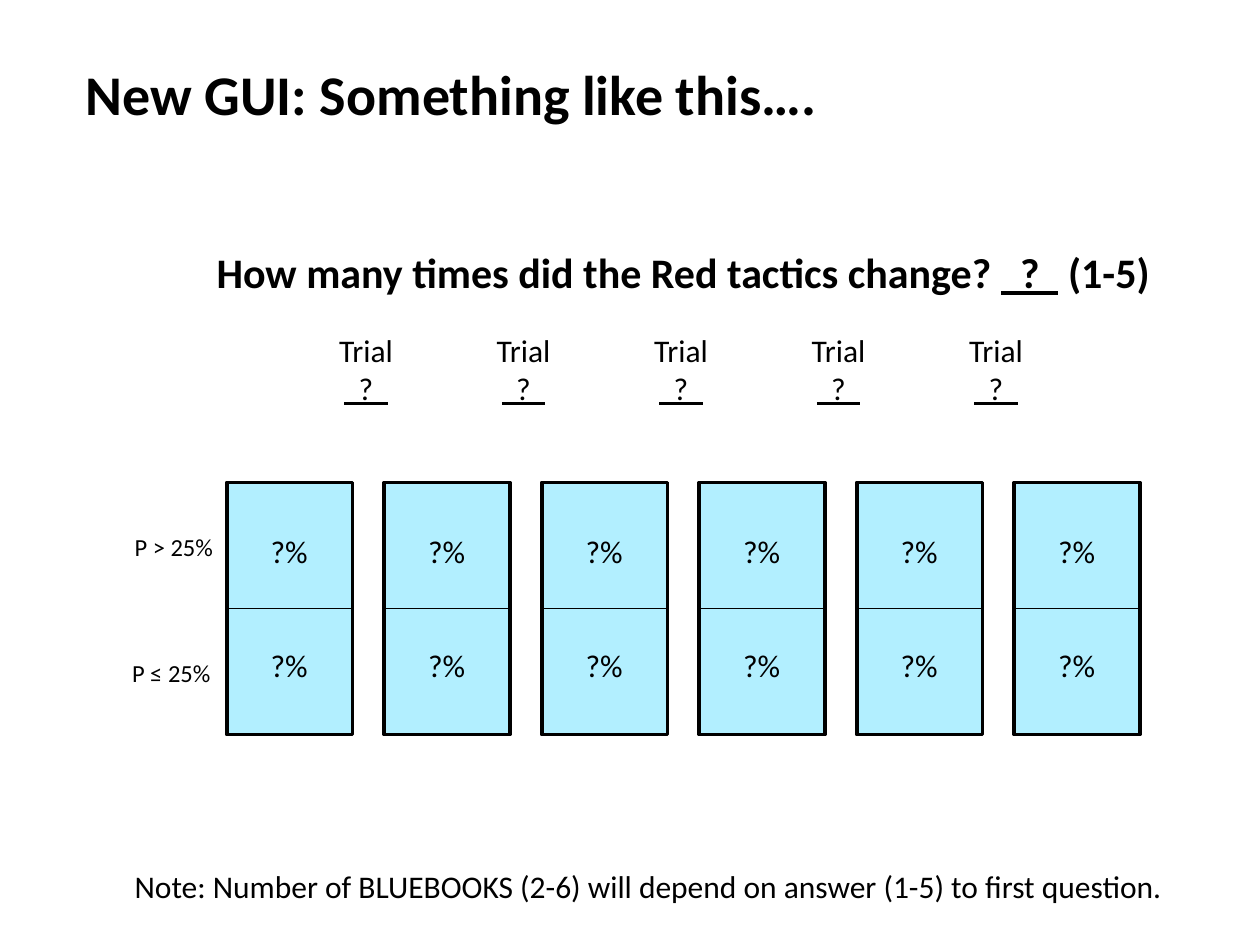
from lxml.etree import SubElement
from pptx import Presentation
from pptx.dml.color import RGBColor
from pptx.enum.shapes import MSO_SHAPE
from pptx.enum.text import MSO_AUTO_SIZE, PP_ALIGN
from pptx.oxml.ns import qn
from pptx.util import Inches, Pt

COLORS = {"ink": "000000", "book": "00CCFF"}
FONT = "Calibri"
BOOK_ALPHA = 30
BLANK = "  ?  "

TITLE = "New GUI: Something like this…."
QUESTION = [("How many times did the Red tactics change? ", False), (BLANK, True), (" (1-5)", False)]
TRIAL = [[("Trial", False)], [(BLANK, True)]]
NOTE = "Note: Number of BLUEBOOKS (2-6) will depend on answer (1-5) to first question."
ODDS = "?%"
ODDS_TOPS = [4.17, 5.08]
ROW_LABELS = [("P > 25%", 0.97, 4.17), ("P ≤ 25%", 0.95, 5.17)]

BOOKS = 6
BOOK_LEFT, BOOK_TOP, BOOK_SIDE, BOOK_PITCH = 1.8, 3.83, 1, 1.25
ODDS_WIDTH = 0.5
TRIAL_LEFT, TRIAL_TOP = 2.59, 2.58

presentation = Presentation()
presentation.slide_width, presentation.slide_height = Inches(10), Inches(7.5)
slide = presentation.slides.add_slide(presentation.slide_layouts[6])


def rgb(name):
    return RGBColor.from_string(COLORS[name])


def write(paragraphs, left, top, width, height, size, bold=False, align=PP_ALIGN.LEFT):
    frame = slide.shapes.add_textbox(*map(Inches, (left, top, width, height))).text_frame
    frame.word_wrap = False
    frame.auto_size = MSO_AUTO_SIZE.SHAPE_TO_FIT_TEXT
    for index, pieces in enumerate(paragraphs):
        paragraph = frame.add_paragraph() if index else frame.paragraphs[0]
        paragraph.alignment = align
        for words, underline in pieces:
            run = paragraph.add_run()
            run.text = words
            run.font.color.rgb = rgb("ink")
            style = {"name": FONT, "size": Pt(size), "bold": bold, "underline": underline}
            for key, value in style.items():
                setattr(run.font, key, value)


def draw_box(left, height, line_width, filled):
    box = slide.shapes.add_shape(
        MSO_SHAPE.RECTANGLE, *map(Inches, (left, BOOK_TOP, BOOK_SIDE, height)))
    box.shadow.inherit = False
    box.line.color.rgb = rgb("ink")
    box.line.width = Pt(line_width)
    if filled:
        box.fill.solid()
        box.fill.fore_color.rgb = rgb("book")
        color = box.fill._xPr.find(qn("a:solidFill"))[0]
        SubElement(color, qn("a:alpha")).set("val", str(BOOK_ALPHA * 1000))
    else:
        box.fill.background()


write([[(TITLE, False)]], 0.58, 0.42, 6.06, 0.64, 32, bold=True)
write([QUESTION], 1.62, 1.91, 7.68, 0.5, 24, bold=True)

for book in range(BOOKS):
    left = BOOK_LEFT + book * BOOK_PITCH
    draw_box(left, 2 * BOOK_SIDE, 2, True)
    draw_box(left, BOOK_SIDE, 1, False)
    for top in ODDS_TOPS:
        write([[(ODDS, False)]], left + (BOOK_SIDE - ODDS_WIDTH) / 2, top, ODDS_WIDTH, 0.4, 18)

for label, left, top in ROW_LABELS:
    write([[(label, False)]], left, top, 0.83, 0.34, 14)

for gap in range(BOOKS - 1):
    write(TRIAL, TRIAL_LEFT + gap * BOOK_PITCH, TRIAL_TOP, 0.63, 0.71, 18, align=PP_ALIGN.CENTER)

write([[(NOTE, False)]], 0.97, 6.83, 8.61, 0.4, 18)

presentation.save("out.pptx")
